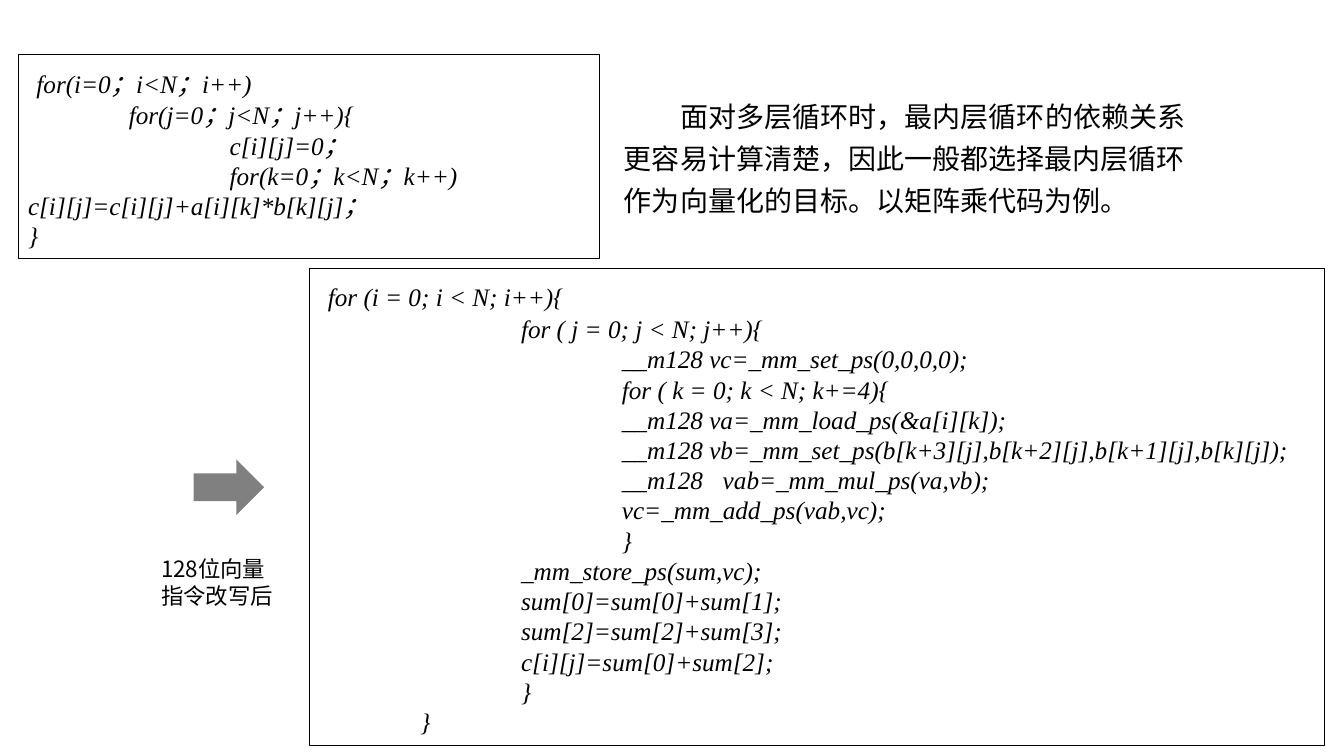
from dataclasses import dataclass

from lxml.etree import SubElement
from pptx import Presentation
from pptx.dml.color import RGBColor
from pptx.enum.shapes import MSO_SHAPE as Shape
from pptx.enum.text import MSO_ANCHOR as Anchor, MSO_AUTO_SIZE as AutoSize, PP_ALIGN as Align
from pptx.oxml.ns import qn
from pptx.util import Inches, Pt


@dataclass(frozen=True)
class Theme:
    black: RGBColor = RGBColor(0, 0, 0)
    gray: RGBColor = RGBColor(0x80, 0x80, 0x80)
    prose_face: str = "Noto Sans CJK SC"
    code_face: str = "Times New Roman"
    body: Pt = Pt(20)
    label: Pt = Pt(16)
    code: Pt = Pt(18)
    code_lead: Pt = Pt(24)
    border: Pt = Pt(0.75)


theme = Theme()

matrix_loop = """for(i=0；i<N；i++)
\tfor(j=0；j<N；j++){
\t\tc[i][j]=0；
\t\tfor(k=0；k<N；k++)\t\t\tc[i][j]=c[i][j]+a[i][k]*b[k][j]；
}"""

vector_loop = """for (i = 0; i < N; i++){
\t\tfor ( j = 0; j < N; j++){
\t\t\t__m128 vc=_mm_set_ps(0,0,0,0);
\t\t\tfor ( k = 0; k < N; k+=4){
\t\t\t__m128 va=_mm_load_ps(&a[i][k]);
\t\t\t__m128 vb=_mm_set_ps(b[k+3][j],b[k+2][j],b[k+1][j],b[k][j]);
\t\t\t__m128\tvab=_mm_mul_ps(va,vb);
\t\t\tvc=_mm_add_ps(vab,vc);
\t\t\t}
\t\t_mm_store_ps(sum,vc);
\t\tsum[0]=sum[0]+sum[1];
\t\tsum[2]=sum[2]+sum[3];
\t\tc[i][j]=sum[0]+sum[2];
\t\t}
\t}"""


def set_font(para, face, size, italic=False):
    para.alignment = Align.LEFT
    para.font.name = face
    para.font.size = size
    para.font.italic = italic
    para.font.color.rgb = theme.black
    defaults = para._p.pPr.find(qn("a:defRPr"))
    SubElement(defaults, qn("a:ea"), typeface=theme.prose_face)


def add_prose(page, place, text, size):
    box = page.shapes.add_textbox(*map(Inches, place))
    frame = box.text_frame
    frame.word_wrap = True
    frame.auto_size = AutoSize.SHAPE_TO_FIT_TEXT
    para = frame.paragraphs[0]
    para.text = text
    set_font(para, theme.prose_face, size)
    return para


deck = Presentation()
deck.slide_width = Inches(13.33)
deck.slide_height = Inches(7.5)
page = deck.slides.add_slide(deck.slide_layouts[6])

intro = add_prose(
    page,
    (6.09, 0.86, 5.77, 1.36),
    "面对多层循环时，最内层循环的依赖关系更容易计算清楚，因此一般都选择最内层循环作为向量化的目标。以矩阵乘代码为例。",
    theme.body,
)
intro.line_spacing = 1.25
intro._p.pPr.set("indent", str(Inches(0.56)))

for place, code in (
    ((0.18, 0.54, 5.77, 2.02), matrix_loop),
    ((3.07, 2.66, 10.07, 4.74), vector_loop),
):
    box = page.shapes.add_shape(Shape.RECTANGLE, *map(Inches, place))
    box.shadow.inherit = False
    box.fill.background()
    box.line.color.rgb = theme.black
    box.line.width = theme.border
    frame = box.text_frame
    frame.word_wrap = True
    frame.auto_size = AutoSize.SHAPE_TO_FIT_TEXT
    frame.vertical_anchor = Anchor.TOP
    for index, line in enumerate(code.split("\n")):
        para = frame.add_paragraph() if index else frame.paragraphs[0]
        stops = SubElement(para._p.get_or_add_pPr(), qn("a:tabLst"))
        for stop in range(1, 6):
            SubElement(stops, qn("a:tab"), pos=str(Inches(stop)), algn="l")
        set_font(para, theme.code_face, theme.code, italic=True)
        if index == 0:
            lead = para.add_run()
            lead.text = " "
            lead.font.size = theme.code_lead
        span = para.add_run()
        span.text = line

arrow = page.shapes.add_shape(Shape.RIGHT_ARROW, Inches(1.92), Inches(4.56), Inches(0.7), Inches(0.55))
arrow.shadow.inherit = False
arrow.fill.solid()
arrow.fill.fore_color.rgb = theme.gray
arrow.line.fill.background()

add_prose(page, (1.5, 5.46, 1.36, 0.64), "128位向量指令改写后", theme.label)

deck.save("out.pptx")
